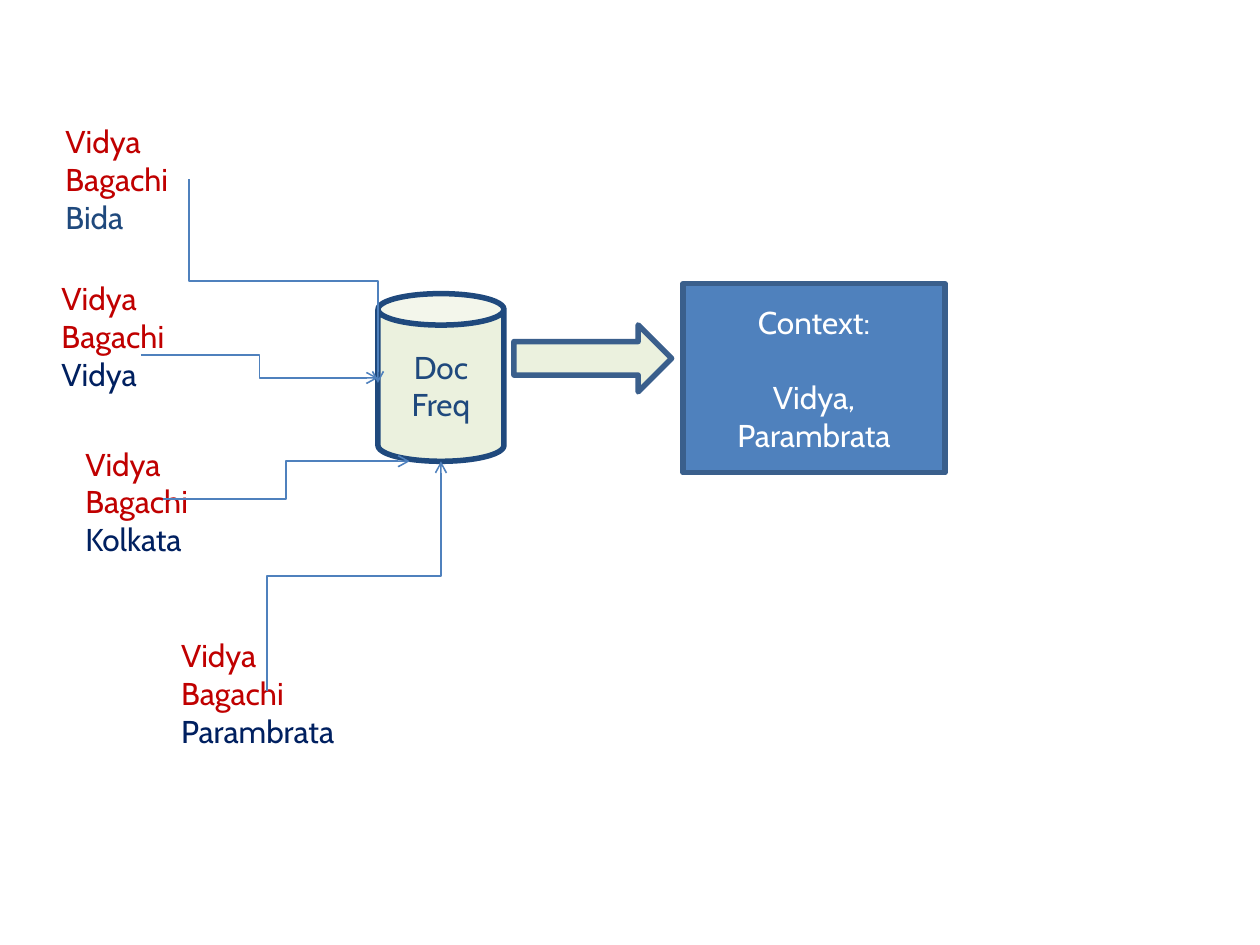
from lxml import etree
from pptx import Presentation
from pptx.dml.color import RGBColor
from pptx.enum.shapes import MSO_CONNECTOR, MSO_SHAPE
from pptx.enum.text import MSO_ANCHOR, MSO_AUTO_SIZE, PP_ALIGN
from pptx.oxml.ns import qn
from pptx.util import Cm, Pt

ELBOW = MSO_CONNECTOR.ELBOW
CAN = MSO_SHAPE.CAN
RIGHT_ARROW = MSO_SHAPE.RIGHT_ARROW
RECTANGLE = MSO_SHAPE.RECTANGLE
MIDDLE = MSO_ANCHOR.MIDDLE
FIT_SHAPE = MSO_AUTO_SIZE.SHAPE_TO_FIT_TEXT
LEFT = PP_ALIGN.LEFT
CENTER = PP_ALIGN.CENTER

COLORS = {
    "red": "C00000",
    "navy": "002060",
    "dark_blue": "1F497D",
    "blue": "4F81BD",
    "border": "3A5F8C",
    "pale_green": "EBF1DE",
    "white": "FFFFFF",
}


def color(name):
    return RGBColor.from_string(COLORS[name])


class DiagramSlide:
    font_format = {"name": "Cabin", "size": Pt(18)}
    border_width = Pt(3.15)
    flow_width = Pt(0.9)

    def __init__(self, slide):
        self.slide = slide

    def add_lines(self, frame, lines, align, gap=0):
        frame.word_wrap = True
        for index, (text, text_color) in enumerate(lines):
            paragraph = frame.paragraphs[0] if index == 0 else frame.add_paragraph()
            paragraph.alignment = align
            if index and gap:
                paragraph.space_before = Pt(gap)
            run = paragraph.add_run()
            run.text = text
            for attribute, value in self.font_format.items():
                setattr(run.font, attribute, value)
            run.font.color.rgb = color(text_color)

    def label(self, box, lines):
        frame = self.slide.shapes.add_textbox(*map(Cm, box)).text_frame
        self.add_lines(frame, lines, LEFT)
        frame.auto_size = FIT_SHAPE

    def block(self, kind, box, fill, border, lines=(), gap=0):
        block = self.slide.shapes.add_shape(kind, *map(Cm, box))
        block.shadow.inherit = False
        block.fill.solid()
        block.fill.fore_color.rgb = color(fill)
        block.line.color.rgb = color(border)
        block.line.width = self.border_width
        block.text_frame.vertical_anchor = MIDDLE
        self.add_lines(block.text_frame, lines, CENTER, gap)

    def flow(self, start, end, vertical=False):
        (x1, y1), (x2, y2) = start, end
        if vertical:
            center_x, center_y = (x1 + x2) / 2, (y1 + y2) / 2
            half_x, half_y = (y1 - y2) / 2, (x2 - x1) / 2
            x1, x2 = center_x - half_x, center_x + half_x
            y1, y2 = center_y - half_y, center_y + half_y
        flow = self.slide.shapes.add_connector(ELBOW, Cm(x1), Cm(y1), Cm(x2), Cm(y2))
        flow.line.color.rgb = color("blue")
        flow.line.width = self.flow_width
        properties = flow._element.spPr
        if vertical:
            properties.find(qn("a:xfrm")).set("rot", str(270 * 60000))
        etree.SubElement(properties.find(qn("a:ln")), qn("a:tailEnd"), type="arrow")
        etree.SubElement(properties, qn("a:effectLst"))


def main():
    presentation = Presentation()
    presentation.slide_width, presentation.slide_height = Cm(25.4), Cm(19.05)
    diagram = DiagramSlide(presentation.slides.add_slide(presentation.slide_layouts[6]))

    documents = [
        ((1.07, 2.34, 3.61, 2.57), "Bida", "dark_blue"),
        ((0.99, 5.51, 3.66, 3.33), "Vidya", "navy"),
        ((1.47, 8.84, 3.66, 3.33), "Kolkata", "navy"),
        ((3.4, 12.7, 4.22, 3.33), "Parambrata", "navy"),
    ]
    for box, term, term_color in documents:
        diagram.label(box, [("Vidya Bagachi", "red"), (term, term_color)])

    diagram.block(CAN, (7.62, 5.92, 2.54, 3.38), "pale_green", "dark_blue",
                  [("Doc Freq", "dark_blue")])
    diagram.block(RIGHT_ARROW, (10.36, 6.55, 3.18, 1.35), "pale_green", "border")
    diagram.block(RECTANGLE, (13.77, 5.72, 5.28, 3.81), "blue", "border",
                  [("Context:", "white"), ("Vidya, Parambrata", "white")], gap=21.6)

    diagram.flow((3.81, 3.61), (7.62, 7.72), vertical=True)
    diagram.flow((2.84, 7.16), (7.62, 7.62))
    diagram.flow((3.28, 10.06), (8.26, 9.3))
    diagram.flow((5.38, 13.92), (8.89, 9.3), vertical=True)

    presentation.save("out.pptx")


if __name__ == "__main__":
    main()
